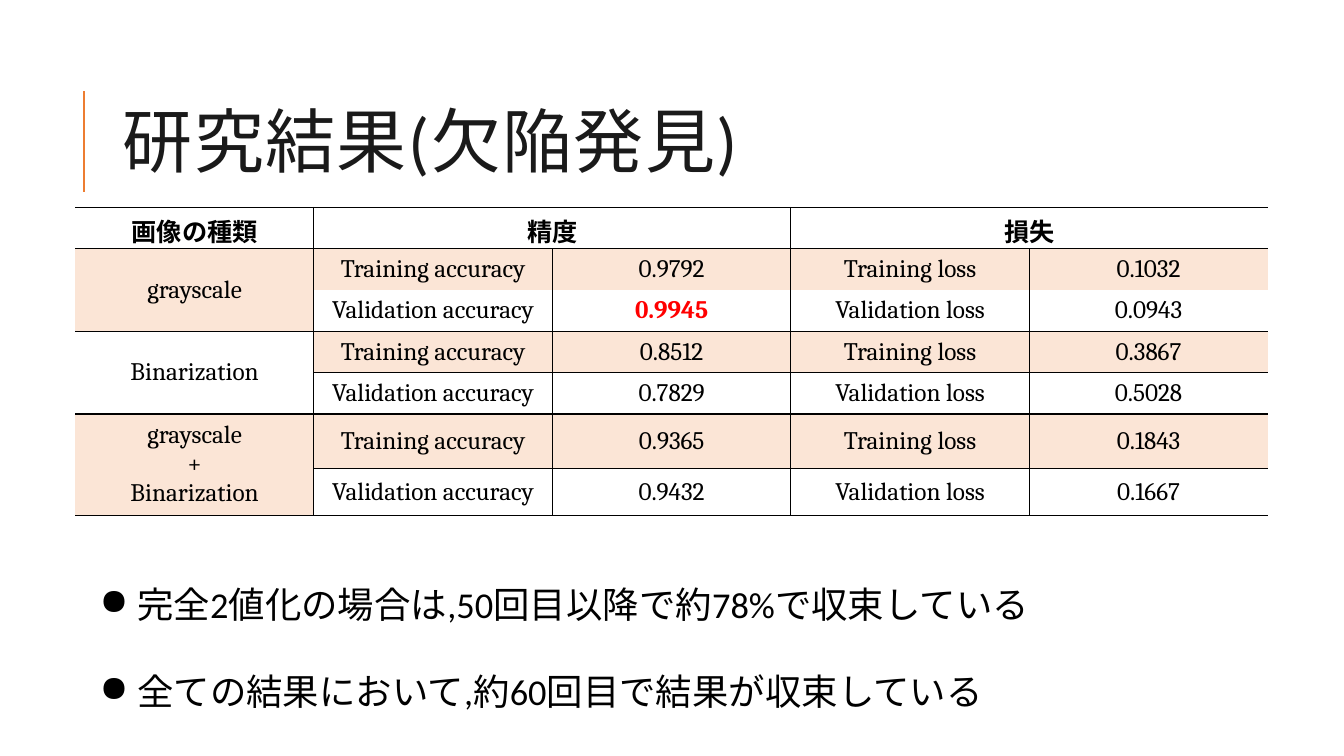
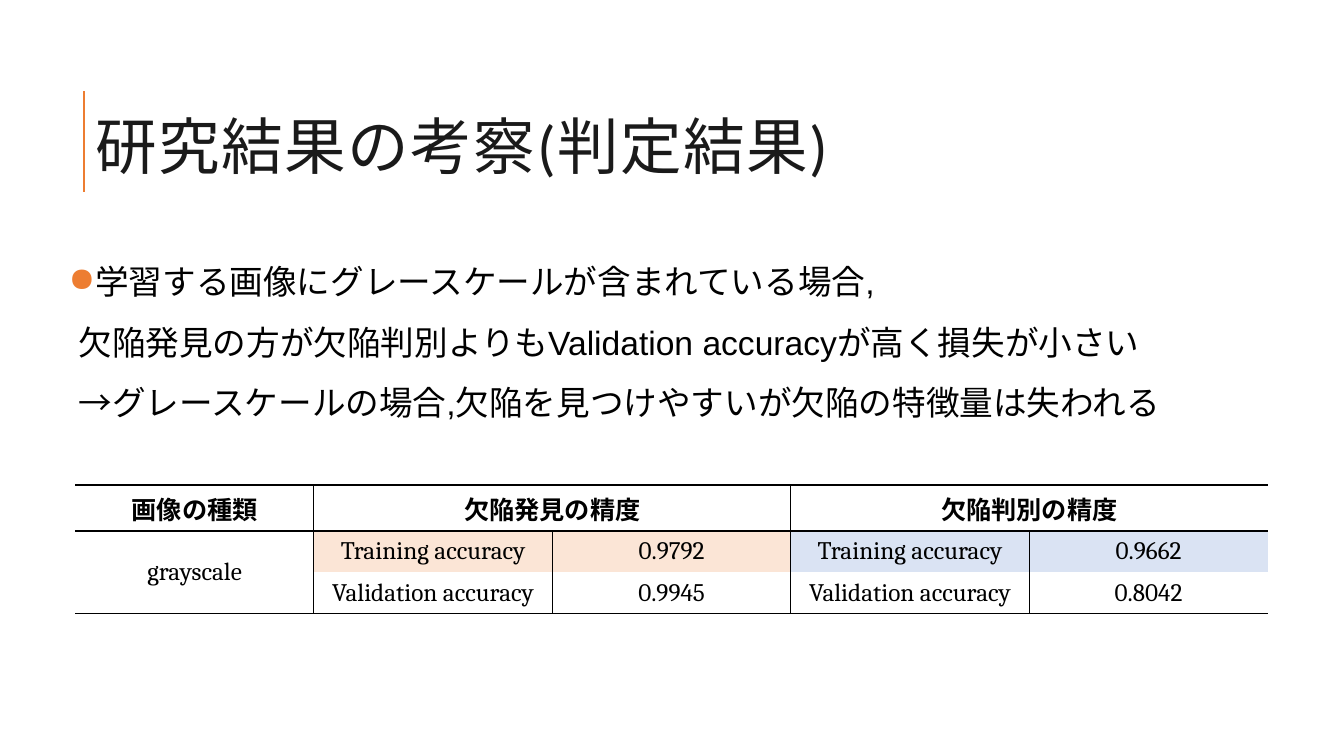
from lxml import etree
from pptx import Presentation
from pptx import util as u
from pptx.dml.color import RGBColor
from pptx.enum import lang, shapes, text
from pptx.oxml import ns

Cm, Pt = u.Cm, u.Pt
BLACK = RGBColor(0x00, 0x00, 0x00)
WHITE = RGBColor(0xFF, 0xFF, 0xFF)
TITLE_INK = RGBColor(0x1A, 0x1A, 0x1A)
ORANGE = RGBColor(0xED, 0x7D, 0x31)
PALE_ORANGE = RGBColor(0xFB, 0xE5, 0xD6)
PALE_BLUE = RGBColor(0xDA, 0xE3, 0xF3)
RED = RGBColor(0xFF, 0x00, 0x00)

HEADER_FONT = {"name": "Calibri", "size": Pt(18), "bold": True}
CELL_FONT = {"name": "Cambria", "size": Pt(18), "bold": False}


def apply(target, formats):
    for key, value in formats.items():
        setattr(target, key, value)


def style_para(para, font, color, formats):
    apply(para, formats)
    for span in para.runs:
        apply(span.font, font)
        span.font.language_id = lang.MSO_LANGUAGE_ID.JAPANESE
        span.font.color.rgb = color


def child(parent, tag, **attributes):
    return etree.SubElement(parent, ns.qn(tag), attributes)


def add_bullet(para, indent, color):
    properties = para._p.get_or_add_pPr()
    properties.set("marL", str(indent))
    properties.set("indent", str(-indent))
    child(child(properties, "a:buClr"), "a:srgbClr", val=str(color))
    child(properties, "a:buChar", char="●")


def add_page(deck, title, box, size):
    page = deck.slides.add_slide(deck.slide_layouts[5])
    rule = page.shapes.add_connector(
        shapes.MSO_CONNECTOR.STRAIGHT, Cm(2.11), Cm(4.83), Cm(2.11), Cm(2.29))
    rule.line.color.rgb = ORANGE
    rule.line.width = Pt(1.5)
    child(rule._element.spPr, "a:effectLst")

    heading = page.shapes.title
    apply(heading, dict(zip(("left", "top", "width", "height"), box)))
    frame = heading.text_frame
    frame.text = title
    apply(frame, {"word_wrap": True, "auto_size": text.MSO_AUTO_SIZE.NONE,
                  "vertical_anchor": text.MSO_ANCHOR.MIDDLE})
    para = frame.paragraphs[0]
    style_para(para, {"name": "Calibri", "size": Pt(size)}, TITLE_INK,
               {"alignment": text.PP_ALIGN.LEFT, "line_spacing": 0.8})
    for span in para.runs:
        span._r.get_or_add_rPr().set("spc", "100")
    return page


def add_bullets(page, box, items, font, indent, color, spacing, margins=None):
    frame = page.shapes.add_textbox(*box).text_frame
    frame.word_wrap = True
    apply(frame, margins or {})
    frame.text = "\n".join(items)
    for para in frame.paragraphs:
        add_bullet(para, indent, color)
        style_para(para, font, BLACK, {"line_spacing": spacing})


def draw_borders(cell, sides):
    properties = cell._tc.get_or_add_tcPr()
    for index, (side, shown) in enumerate(sides.items()):
        border = etree.Element(ns.qn(f"a:ln{side}"), w=str(Pt(1)))
        if shown:
            child(child(border, "a:solidFill"), "a:srgbClr", val=str(BLACK))
        else:
            child(border, "a:noFill")
        properties.insert(index, border)


def add_results(page, left, top, heights, headers, groups, ruled, fills,
                best=None, header_bottom=Cm(0.13)):
    column = Cm(6.01)
    last = 5
    table = page.shapes.add_table(
        len(heights), last, left, top, column * last, sum(heights)).table
    apply(table, {"first_row": False, "horz_banding": False})
    for item in table.columns:
        item.width = column
    for item, height in zip(table.rows, heights):
        item.height = height

    rows = [[headers[0], headers[1], "", headers[2], ""]]
    for name, pairs in groups:
        rows += [[name, *pairs[0]], ["", *pairs[1]]]
    table.cell(0, 1).merge(table.cell(0, 2))
    table.cell(0, 3).merge(table.cell(0, 4))
    for row in range(1, len(rows), 2):
        table.cell(row, 0).merge(table.cell(row + 1, 0))

    for row, values in enumerate(rows):
        for col, value in enumerate(values):
            cell = table.cell(row, col)
            cell.vertical_anchor = text.MSO_ANCHOR.MIDDLE
            cell.fill.solid()
            cell.fill.fore_color.rgb = fills(row, col)
            if row == 0:
                cell.margin_bottom = header_bottom
            if value:
                cell.text = value
            font = HEADER_FONT if row == 0 else CELL_FONT
            marked = (row, col) == best
            for para in cell.text_frame.paragraphs:
                style_para(para, {**font, "bold": marked or font["bold"]},
                           RED if marked else BLACK,
                           {"alignment": text.PP_ALIGN.CENTER})
            high = cell.span_height if cell.is_merge_origin else 1
            wide = cell.span_width if cell.is_merge_origin else 1
            inner = cell.is_spanned
            draw_borders(cell, {
                "L": col > 0 and not (inner and row == 0),
                "R": col + wide < last,
                "T": row in ruled and not (inner and col == 0),
                "B": row + high in ruled})


def result_pairs(training_accuracy, training_loss, accuracy, loss):
    return [["Training accuracy", training_accuracy, "Training loss", training_loss],
            ["Validation accuracy", accuracy, "Validation loss", loss]]


def detection_fill(row, col):
    if row == 0:
        return WHITE
    if col == 0:
        return WHITE if row in (3, 4) else PALE_ORANGE
    return PALE_ORANGE if row % 2 else WHITE


def comparison_fill(row, col):
    if row != 1 or col == 0:
        return WHITE
    return PALE_ORANGE if col < 3 else PALE_BLUE


def build_detection(deck):
    page = add_page(deck, "研究結果(欠陥発見)",
                    (Cm(2.84), Cm(1.63), Cm(27), Cm(4.17)), 50)
    add_bullets(page, (Cm(2.26), Cm(13.44), Cm(29.36), Cm(4.42)),
                ["完全2値化の場合は,50回目以降で約78%で収束している",
                 "全ての結果において,約60回目で結果が収束している"],
                {"name": "Calibri", "size": Pt(26)}, Cm(0.95), BLACK, 2.0)
    groups = [
        ("grayscale", result_pairs("0.9792", "0.1032", "0.9945", "0.0943")),
        ("Binarization", result_pairs("0.8512", "0.3867", "0.7829", "0.5028")),
        ("grayscale\n+\nBinarization",
         result_pairs("0.9365", "0.1843", "0.9432", "0.1667"))]
    add_results(page, Cm(1.9), Cm(5.23),
                [Cm(1.04)] * 5 + [Cm(1.37), Cm(1.19)],
                ["画像の種類", "精度", "損失"], groups,
                {0, 1, 3, 4, 5, 6, 7}, detection_fill,
                best=(2, 2), header_bottom=0)


def build_comparison(deck):
    page = add_page(deck, "研究結果の考察(判定結果)",
                    (Cm(2.16), Cm(1.73), Cm(27.5), Cm(4.17)), 44)
    inset = Cm(0.13)
    add_bullets(page, (Cm(1.6), Cm(5.94), Cm(32.26), Cm(5.26)),
                ["学習する画像にグレースケールが含まれている場合,\v"
                 "欠陥発見の方が欠陥判別よりもValidation accuracyが高く損失が小さい\v"
                 "→グレースケールの場合,欠陥を見つけやすいが欠陥の特徴量は失われる"],
                {"name": "Arial", "size": Pt(24)}, Cm(0.25), ORANGE, 1.5,
                {f"margin_{side}": inset
                 for side in ("left", "top", "right", "bottom")})
    groups = [("grayscale", [
        ["Training accuracy", "0.9792", "Training accuracy", "0.9662"],
        ["Validation accuracy", "0.9945", "Validation accuracy", "0.8042"]])]
    add_results(page, Cm(1.9), Cm(12.22), [Cm(1.16), Cm(1.04), Cm(1.04)],
                ["画像の種類", "欠陥発見の精度", "欠陥判別の精度"], groups,
                {0, 1, 3}, comparison_fill)


def main():
    deck = Presentation()
    apply(deck, {"slide_width": Cm(33.87), "slide_height": Cm(19.05)})
    build_detection(deck)
    build_comparison(deck)
    deck.save("out.pptx")


if __name__ == "__main__":
    main()
